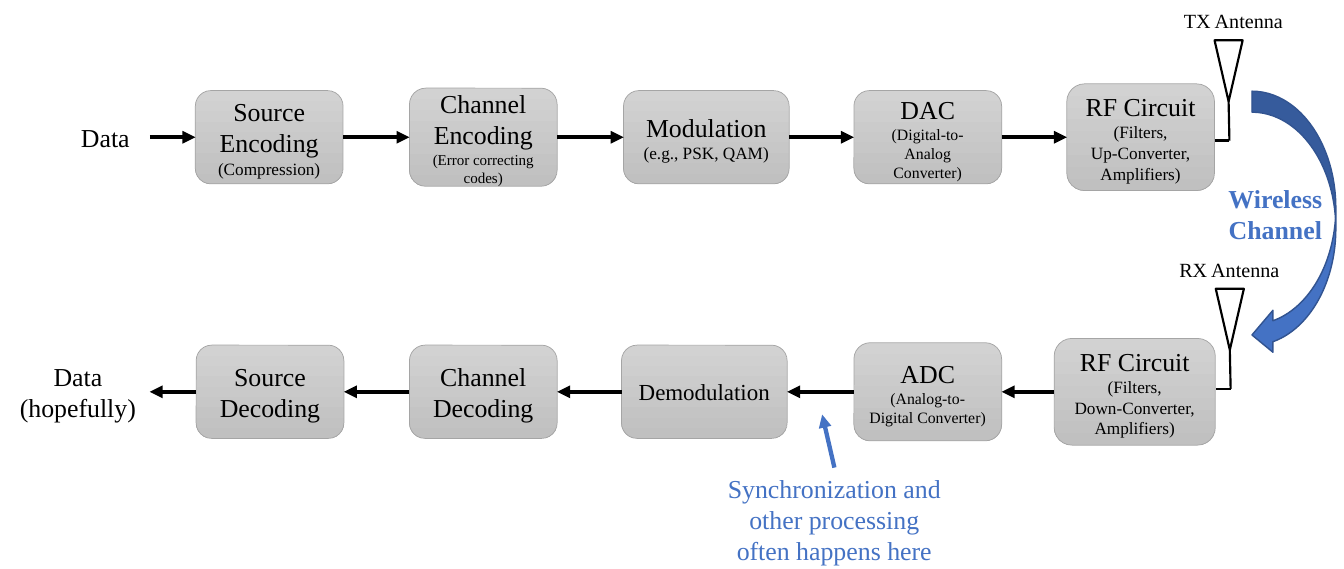
from dataclasses import dataclass
from itertools import pairwise

from lxml import etree
from pptx import Presentation
from pptx.dml.color import RGBColor
from pptx.enum.shapes import MSO_CONNECTOR, MSO_SHAPE
from pptx.enum.text import MSO_ANCHOR, MSO_AUTO_SIZE, PP_ALIGN
from pptx.oxml.ns import qn
from pptx.util import Cm, Pt

STRAIGHT = MSO_CONNECTOR.STRAIGHT
ROUNDED = MSO_SHAPE.ROUNDED_RECTANGLE
TRIANGLE = MSO_SHAPE.ISOSCELES_TRIANGLE
CURVED_ARROW = MSO_SHAPE.CURVED_LEFT_ARROW
CENTER = PP_ALIGN.CENTER
MIDDLE = MSO_ANCHOR.MIDDLE
GROW = MSO_AUTO_SIZE.SHAPE_TO_FIT_TEXT
TOP, LEFT, RIGHT = 0, 1, 3


@dataclass(frozen=True)
class Theme:
    """Colours, type sizes and line widths of the diagram."""
    font: str = "Times New Roman"
    ink: RGBColor = RGBColor(0, 0, 0)
    accent: RGBColor = RGBColor(0x44, 0x72, 0xC4)
    accent_edge: RGBColor = RGBColor(0x32, 0x54, 0x91)
    block_light: RGBColor = RGBColor(0xD2, 0xD2, 0xD2)
    block_dark: RGBColor = RGBColor(0xC0, 0xC0, 0xC0)
    block_edge: RGBColor = RGBColor(0xA5, 0xA5, 0xA5)
    name: float = 18
    long_name: float = 16
    antenna: float = 14
    detail: float = 12
    converter: float = 11
    fine: float = 10.5
    flow: float = 3
    wire: float = 1.5
    edge: float = 1
    hairline: float = 0.5


THEME = Theme()

TRANSMITTER = [
    (4.8, 3.63, 2.29, [("Source", THEME.name), ("Encoding", THEME.name),
                       ("(Compression)", THEME.detail)]),
    (10.06, 3.63, 2.41, [("Channel", THEME.name), ("Encoding", THEME.name),
                         ("(Error correcting codes)", THEME.fine)]),
    (15.32, 4.07, 2.29, [("Modulation", THEME.name),
                         ("(e.g., PSK, QAM)", THEME.detail)]),
    (20.98, 3.63, 2.29, [("DAC", THEME.name),
                         ("(Digital-to-Analog Converter)", THEME.converter)]),
    (26.21, 3.63, 2.62, [("RF Circuit", THEME.name), ("(Filters,", THEME.detail),
                         ("Up-Converter,", THEME.detail),
                         ("Amplifiers)", THEME.detail)]),
]
RECEIVER = [
    (4.82, 3.63, 2.29, [("Source Decoding", THEME.name)]),
    (10.06, 3.63, 2.29, [("Channel", THEME.name), ("Decoding", THEME.name)]),
    (15.27, 4.07, 2.29, [("Demodulation", THEME.long_name)]),
    (20.98, 3.63, 2.41, [("ADC", THEME.name),
                         ("(Analog-to-Digital Converter)", THEME.converter)]),
    (25.9, 3.96, 2.62, [("RF Circuit", THEME.name), ("(Filters,", THEME.detail),
                        ("Down-Converter,", THEME.detail),
                        ("Amplifiers)", THEME.detail)]),
]


def write(shape, lines, color=THEME.ink, bold=False):
    """Write (text, size) lines as centred paragraphs."""
    frame = shape.text_frame
    frame.word_wrap = True
    for index, (text, size) in enumerate(lines):
        paragraph = frame.add_paragraph() if index else frame.paragraphs[0]
        paragraph.alignment = CENTER
        run = paragraph.add_run()
        run.text = text
        look = {"name": THEME.font, "size": Pt(size), "bold": bold}
        for key, value in look.items():
            setattr(run.font, key, value)
        run.font.color.rgb = color


def add_label(shapes, box, lines, color=THEME.ink, bold=False):
    """Add a text box that grows with its text."""
    label = shapes.add_textbox(*map(Cm, box))
    write(label, lines, color, bold)
    label.text_frame.auto_size = GROW
    return label


def outline(shape, color, width):
    """Set the colour and width of a line."""
    shape.line.color.rgb = color
    shape.line.width = Pt(width)


def add_line(shapes, start, end, width, color=THEME.ink, arrow=False):
    """Add a straight line between two points, with an optional arrowhead."""
    line = shapes.add_connector(STRAIGHT, *map(Cm, (*start, *end)))
    outline(line, color, width)
    if arrow:
        etree.SubElement(line.line._get_or_add_ln(), qn("a:tailEnd"), type="triangle")
    etree.SubElement(line._element.spPr, qn("a:effectLst"))
    return line


def add_block(shapes, box, lines):
    """Add one grey processing stage."""
    block = shapes.add_shape(ROUNDED, *map(Cm, box))
    block.shadow.inherit = False
    block.fill.gradient()
    block.fill.gradient_angle = 270
    stops = block.fill.gradient_stops
    for stop, position, color in zip(stops, (0, 1), (THEME.block_light, THEME.block_dark)):
        stop.position = position
        stop.color.rgb = color
    outline(block, THEME.block_edge, THEME.hairline)
    block.text_frame.vertical_anchor = MIDDLE
    write(block, lines)
    return block


def add_chain(shapes, box, data_box, data_lines, stages, forward):
    """Add a row of stages centred in its box and join them by arrows."""
    left, top, _, height = box
    middle = top + height / 2
    data_left, data_width, data_height = data_box
    nodes = [add_label(shapes, (left + data_left, middle - data_height / 2,
                                data_width, data_height),
                       [(text, THEME.name) for text in data_lines])]
    for x, width, tall, lines in stages:
        nodes.append(add_block(shapes, (left + x, middle - tall / 2, width, tall), lines))
    for before, after in pairwise(nodes):
        arrow = add_line(shapes, (0, 0), (0, 0), THEME.flow, arrow=True)
        if forward:
            arrow.begin_connect(before, RIGHT)
            arrow.end_connect(after, LEFT)
        else:
            arrow.begin_connect(after, LEFT)
            arrow.end_connect(before, RIGHT)


def add_antenna(shapes, box, caption, caption_shift):
    """Add an antenna with its mast, feed wire and caption."""
    left, top, width, height = box
    parts = shapes.add_group_shape().shapes
    cone_height = height * 0.61
    cone = parts.add_shape(TRIANGLE, *map(Cm, (left, top, width, cone_height)))
    cone.rotation = 180
    cone.shadow.inherit = False
    cone.fill.background()
    outline(cone, THEME.ink, THEME.wire)
    tip = (left + width / 2, top + cone_height)
    foot = (tip[0] + 0.02, top + height)
    add_line(parts, tip, foot, THEME.wire)
    add_line(parts, foot, (left, foot[1]), THEME.wire)
    add_label(shapes, (left + caption_shift, top - 0.9, 3.15, 0.86),
              [(caption, THEME.antenna)])


def add_channel(shapes, box):
    """Add the curved arrow of the wireless channel and its name."""
    left, top, width, height = box
    add_label(shapes, (left - 0.91, top + 2.13, 2.97, 1.8),
              [("Wireless", THEME.name), ("Channel", THEME.name)], THEME.accent, True)
    sweep = shapes.add_shape(CURVED_ARROW, *map(Cm, (left, top, width, height)))
    sweep.shadow.inherit = False
    sweep.fill.solid()
    sweep.fill.fore_color.rgb = THEME.accent
    outline(sweep, THEME.accent_edge, THEME.edge)


def add_remark(shapes, box):
    """Add the synchronization remark with an arrow up to its place."""
    left, top, width, height = box
    parts = shapes.add_group_shape().shapes
    remark = add_label(parts, box, [
        ("Synchronization and other processing often happens here", THEME.name),
    ], THEME.accent)
    middle = left + width / 2
    pointer = add_line(parts, (middle, top), (middle - 0.3, top - 1.3),
                       THEME.flow, THEME.accent, True)
    pointer.begin_connect(remark, TOP)


def main():
    """Build the transmitter and receiver diagram."""
    deck = Presentation()
    deck.slide_width, deck.slide_height = Cm(33.02), Cm(13.97)
    shapes = deck.slides.add_slide(deck.slide_layouts[6]).shapes
    add_chain(shapes, (0, 2.06, 29.84, 2.62), (1.5, 2.18, 1.02), ["Data"],
              TRANSMITTER, True)
    add_chain(shapes, (0, 8.31, 29.86, 2.62), (0.15, 3.53, 1.8),
              ["Data", "(hopefully)"], RECEIVER, False)
    add_antenna(shapes, (29.84, 0.99, 0.69, 2.46), "TX Antenna", -1.11)
    add_antenna(shapes, (29.87, 7.09, 0.69, 2.46), "RX Antenna", -1.24)
    add_channel(shapes, (30.76, 2.24, 2.06, 6.5))
    add_remark(shapes, (17.45, 11.48, 6.1, 2.57))
    deck.save("out.pptx")


if __name__ == "__main__":
    main()
